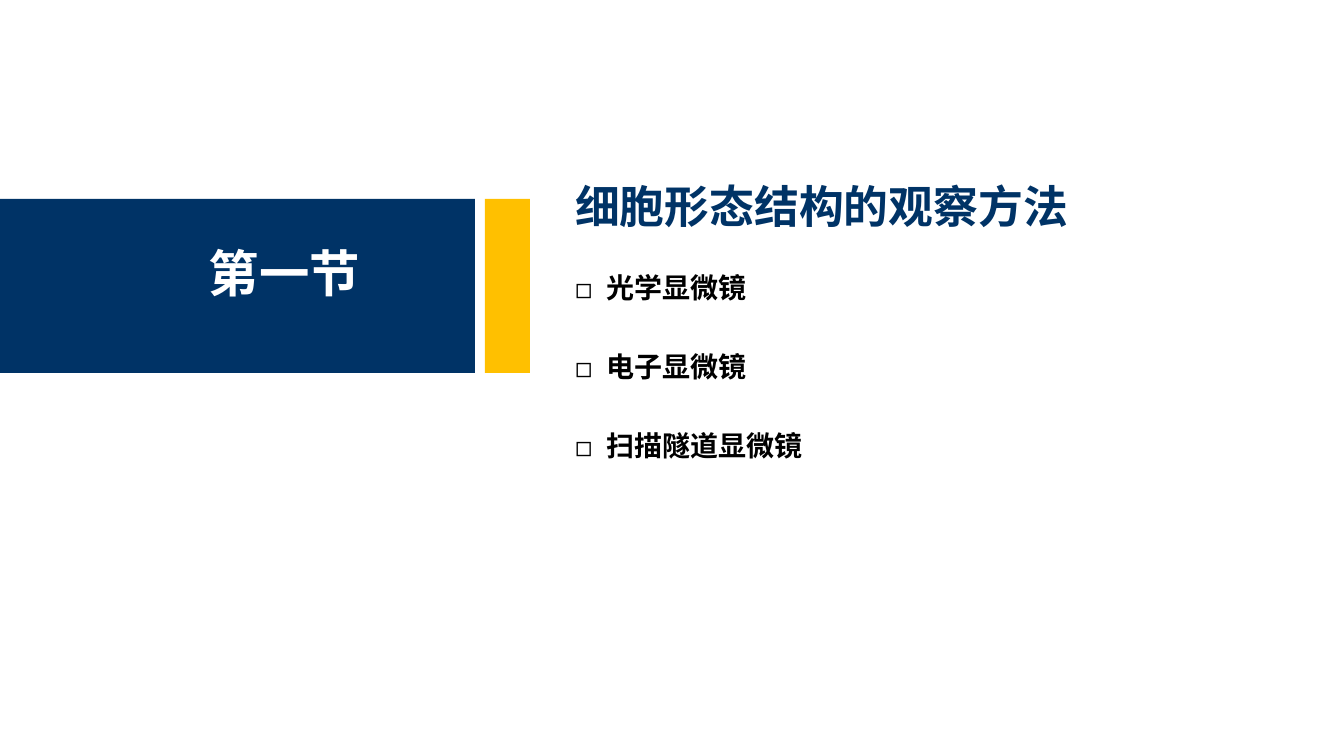
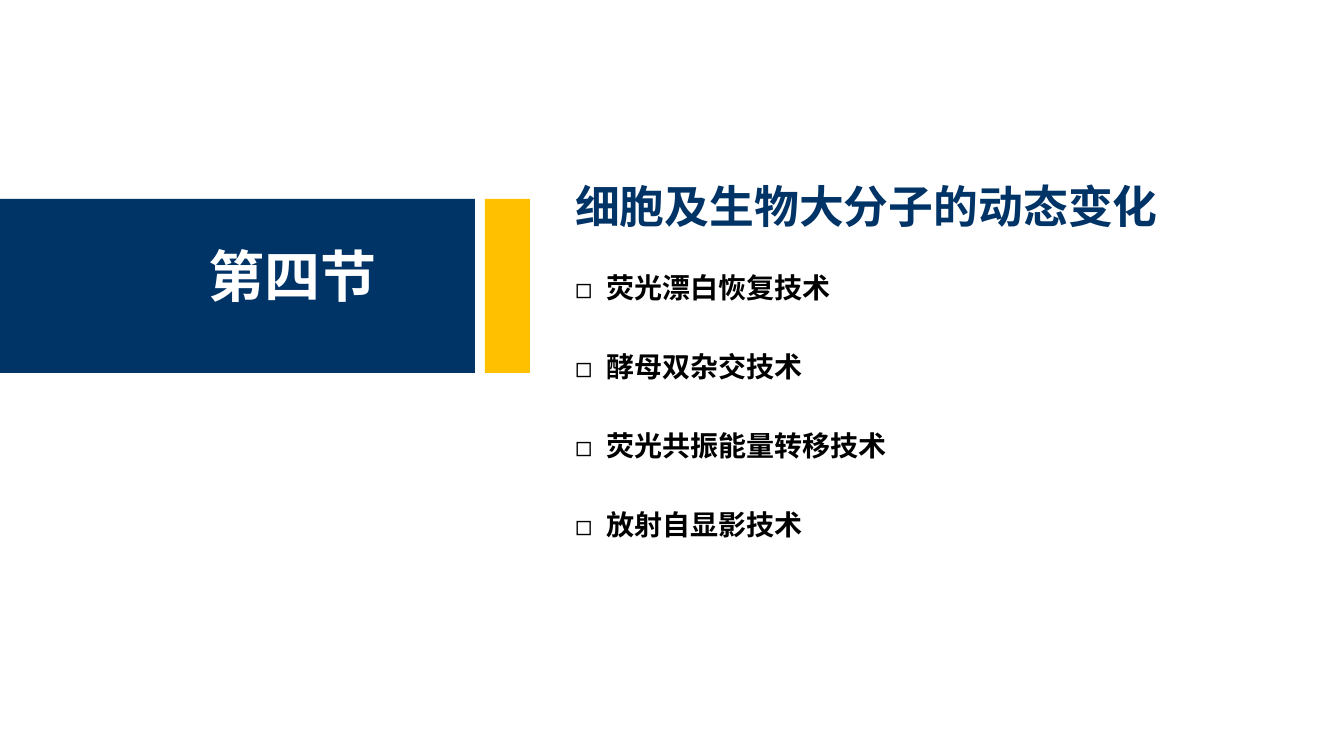
from lxml.etree import SubElement
from pptx import Presentation
from pptx.dml.color import RGBColor
from pptx.enum.shapes import MSO_SHAPE as Preset
from pptx.enum.text import MSO_ANCHOR as Anchor, MSO_AUTO_SIZE as AutoSize, PP_ALIGN as Align
from pptx.oxml.ns import qn
from pptx.util import Pt

SECTIONS = [
    {
        "label": "第一节",
        "label_size": 36,
        "title": "细胞形态结构的观察方法",
        "topics": ["光学显微镜", "电子显微镜", "扫描隧道显微镜"],
    },
    {
        "label": "第四节",
        "label_size": 40,
        "title": "细胞及生物大分子的动态变化",
        "topics": ["荧光漂白恢复技术", "酵母双杂交技术", "荧光共振能量转移技术", "放射自显影技术"],
    },
]

NAVY = RGBColor(0x00, 0x33, 0x66)
GOLD = RGBColor(0xFF, 0xC0, 0x00)
WHITE = RGBColor(0xFF, 0xFF, 0xFF)
BLACK = RGBColor(0x00, 0x00, 0x00)
FONT = "Noto Sans CJK SC"

EMU_PER_PX = 914400 / 100.8
SLIDE_SIZE = (1344, 756)
BANDS = [((0, 199, 475, 174), NAVY), ((485, 199, 45, 174), GOLD)]
LABEL_BOX = (199, 237, 200, 84)
TITLE_BOX = (565, 173, 670, 65)
TOPICS_BOX = (565, 265, 670, 320)
BULLET_INDENT = 31
TOPIC_GAP = Pt(32.5)


def px(length):
    return round(length * EMU_PER_PX)


def set_format(target, values):
    for name, value in values.items():
        setattr(target, name, value)


def place(shape, box):
    set_format(shape, dict(zip(("left", "top", "width", "height"), map(px, box))))


def add_bullet(paragraph):
    properties = paragraph._p.get_or_add_pPr()
    properties.set("marL", str(px(BULLET_INDENT)))
    properties.set("indent", str(-px(BULLET_INDENT)))
    SubElement(properties, qn("a:buFont"), typeface=FONT)
    SubElement(properties, qn("a:buChar"), char="◻")


def write_lines(shape, lines, size, color, anchor=Anchor.TOP, bulleted=False):
    frame = shape.text_frame
    set_format(frame, {"word_wrap": True, "auto_size": AutoSize.NONE, "vertical_anchor": anchor})
    for index, line in enumerate(lines):
        paragraph = frame.add_paragraph() if index else frame.paragraphs[0]
        set_format(paragraph, {
            "alignment": Align.LEFT,
            "line_spacing": 1.0,
            "space_before": TOPIC_GAP if index else Pt(0),
            "space_after": Pt(0),
        })
        if bulleted:
            add_bullet(paragraph)
        run = paragraph.add_run()
        run.text = line
        set_format(run.font, {"name": FONT, "size": Pt(size), "bold": True})
        run.font.color.rgb = color
        SubElement(run.font._element, qn("a:ea"), typeface=FONT)


def add_band(slide, box, color):
    band = slide.shapes.add_shape(Preset.RECTANGLE, *map(px, box))
    band.shadow.inherit = False
    band.fill.solid()
    band.fill.fore_color.rgb = color
    band.line.fill.background()


def build_section(presentation, section):
    slide = presentation.slides.add_slide(presentation.slide_layouts[1])
    for box, color in BANDS:
        add_band(slide, box, color)
    label = slide.shapes.add_textbox(*map(px, LABEL_BOX))
    write_lines(label, [section["label"]], section["label_size"], WHITE)
    title = slide.shapes.title
    place(title, TITLE_BOX)
    write_lines(title, [section["title"]], 32, NAVY, Anchor.MIDDLE)
    topics = slide.placeholders[1]
    place(topics, TOPICS_BOX)
    write_lines(topics, section["topics"], 20, BLACK, bulleted=True)


def main():
    presentation = Presentation()
    set_format(presentation, dict(zip(("slide_width", "slide_height"), map(px, SLIDE_SIZE))))
    for section in SECTIONS:
        build_section(presentation, section)
    presentation.save("out.pptx")


if __name__ == "__main__":
    main()
